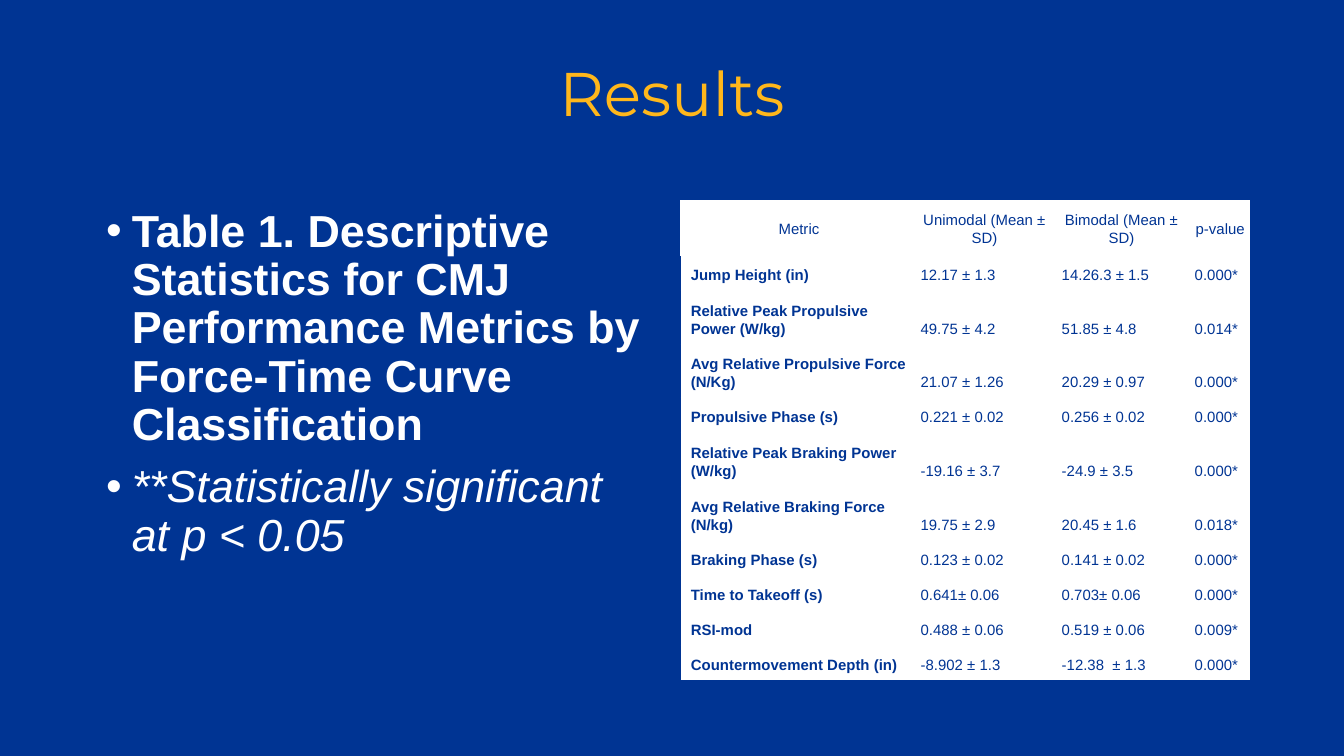
from typing import NamedTuple

from lxml.etree import SubElement
from pptx import Presentation
from pptx.dml.color import RGBColor
from pptx.enum.text import MSO_ANCHOR as Anchor, MSO_AUTO_SIZE as AutoSize, PP_ALIGN as Align
from pptx.oxml.ns import qn
from pptx.util import Inches, Pt

BLUE = RGBColor(0x00, 0x34, 0x93)
GOLD = RGBColor(0xFF, 0xB7, 0x1B)
WHITE = RGBColor(0xFF, 0xFF, 0xFF)


class Metric(NamedTuple):
    name: str
    unimodal: str
    bimodal: str
    p_value: str


class Point(NamedTuple):
    text: str
    bold: bool
    italic: bool


HEADER = Metric("Metric", "Unimodal (Mean ± SD)", "Bimodal (Mean ± SD)", "p-value")
METRICS = [
    Metric("Jump Height (in)", "12.17 ± 1.3", "14.26.3 ± 1.5", "0.000*"),
    Metric("Relative Peak Propulsive Power (W/kg)", "49.75 ± 4.2", "51.85 ± 4.8", "0.014*"),
    Metric("Avg Relative Propulsive Force (N/Kg)", "21.07 ± 1.26", "20.29 ± 0.97", "0.000*"),
    Metric("Propulsive Phase (s)", "0.221 ± 0.02", "0.256 ± 0.02", "0.000*"),
    Metric("Relative Peak Braking Power (W/kg)", "-19.16 ± 3.7", "-24.9 ± 3.5", "0.000*"),
    Metric("Avg Relative Braking Force (N/kg)", "19.75 ± 2.9", "20.45 ± 1.6", "0.018*"),
    Metric("Braking Phase (s)", "0.123 ± 0.02", "0.141 ± 0.02", "0.000*"),
    Metric("Time to Takeoff (s)", "0.641± 0.06", "0.703± 0.06", "0.000*"),
    Metric("RSI-mod", "0.488 ± 0.06", "0.519 ± 0.06", "0.009*"),
    Metric("Countermovement Depth (in)", "-8.902 ± 1.3", "-12.38  ± 1.3", "0.000*"),
]
POINTS = [
    Point("Table 1. Descriptive Statistics for CMJ Performance Metrics by "
          "Force-Time Curve Classification", True, False),
    Point("**Statistically significant at p < 0.05", False, True),
]
COLUMN_WIDTHS = (1.71, 1.05, 0.99, 0.48)
ONE_LINE, TWO_LINES = 0.26, 0.4
LONGEST_ONE_LINE_NAME = 26


def place(shape, left: float, top: float, width: float, height: float) -> None:
    shape.left, shape.top = Inches(left), Inches(top)
    shape.width, shape.height = Inches(width), Inches(height)


def style_font(font, name: str, size: float, color: RGBColor,
               bold: bool = False, italic: bool = False) -> None:
    font.name, font.size = name, Pt(size)
    font.bold, font.italic = bold, italic
    font.color.rgb = color


def add_border(cell, side: str, width: float) -> None:
    line = SubElement(cell._tc.get_or_add_tcPr(), qn(f"a:ln{side}"), w=str(Pt(width)))
    if width:
        fill = SubElement(line, qn("a:solidFill"))
        SubElement(fill, qn("a:srgbClr"), val=str(WHITE))
    else:
        SubElement(line, qn("a:noFill"))


def fill_cell(cell, text: str, row: int, column: int) -> None:
    is_header = row == 0
    outer = 1.5 if is_header else 0.5
    left = 0.5 if column else (0 if row % 2 else outer)
    for side, width in (("L", left), ("R", 0.5), ("T", outer), ("B", 0.5)):
        add_border(cell, side, width)
    cell.fill.solid()
    cell.fill.fore_color.rgb = WHITE
    cell.margin_left, cell.margin_right = Inches(0.07), Inches(0.03)
    cell.margin_top = cell.margin_bottom = Inches(0.05)
    cell.vertical_anchor = Anchor.MIDDLE if is_header else Anchor.BOTTOM
    cell.text_frame.text = text
    paragraph = cell.text_frame.paragraphs[0]
    paragraph.alignment = Align.CENTER if is_header else Align.LEFT
    paragraph.line_spacing = 1.07
    style_font(paragraph.runs[0].font, "Arial", 8, BLUE, bold=not is_header and column == 0)


def add_title(title) -> None:
    place(title, 0.69, 0.42, 8.62, 0.97)
    frame = title.text_frame
    frame.text = "Results"
    frame.auto_size = AutoSize.NONE
    frame.vertical_anchor = Anchor.TOP
    heading = frame.paragraphs[0]
    heading.alignment = Align.CENTER
    heading.line_spacing = 0.9
    style_font(heading.runs[0].font, "Montserrat", 33, GOLD)


def add_points(body) -> None:
    place(body, 0.69, 1.5, 4.25, 3.57)
    frame = body.text_frame
    frame.text = "\n".join(point.text for point in POINTS)
    frame.auto_size = AutoSize.NONE
    frame.vertical_anchor = Anchor.TOP
    for paragraph, point in zip(frame.paragraphs, POINTS):
        paragraph.line_spacing = 0.9
        paragraph.space_before = Pt(7.5)
        properties = paragraph._p.get_or_add_pPr()
        properties.set("marL", str(Inches(0.19)))
        properties.set("indent", str(-Inches(0.19)))
        SubElement(properties, qn("a:buFont"), typeface="Arial")
        SubElement(properties, qn("a:buChar"), char="•")
        style_font(paragraph.runs[0].font, "Arial", 24, WHITE, point.bold, point.italic)


def add_metrics_table(slide) -> None:
    rows = [HEADER, *METRICS]
    table = slide.shapes.add_table(
        len(rows), len(COLUMN_WIDTHS),
        Inches(5.07), Inches(1.5), Inches(4.23), Inches(3.57)).table
    table.first_row = table.horz_banding = False
    for column, width in zip(table.columns, COLUMN_WIDTHS):
        column.width = Inches(width)
    for row, metric in enumerate(rows):
        wraps = row == 0 or len(metric.name) > LONGEST_ONE_LINE_NAME
        table.rows[row].height = Inches(TWO_LINES if wraps else ONE_LINE)
        for column, text in enumerate(metric):
            fill_cell(table.cell(row, column), text, row, column)


def main() -> None:
    deck = Presentation()
    deck.slide_width = Inches(10)
    deck.slide_height = deck.slide_width * 9 // 16
    slide = deck.slides.add_slide(deck.slide_layouts[1])
    slide.background.fill.solid()
    slide.background.fill.fore_color.rgb = BLUE
    add_title(slide.shapes.title)
    add_points(slide.placeholders[1])
    add_metrics_table(slide)
    deck.save("out.pptx")


if __name__ == "__main__":
    main()
